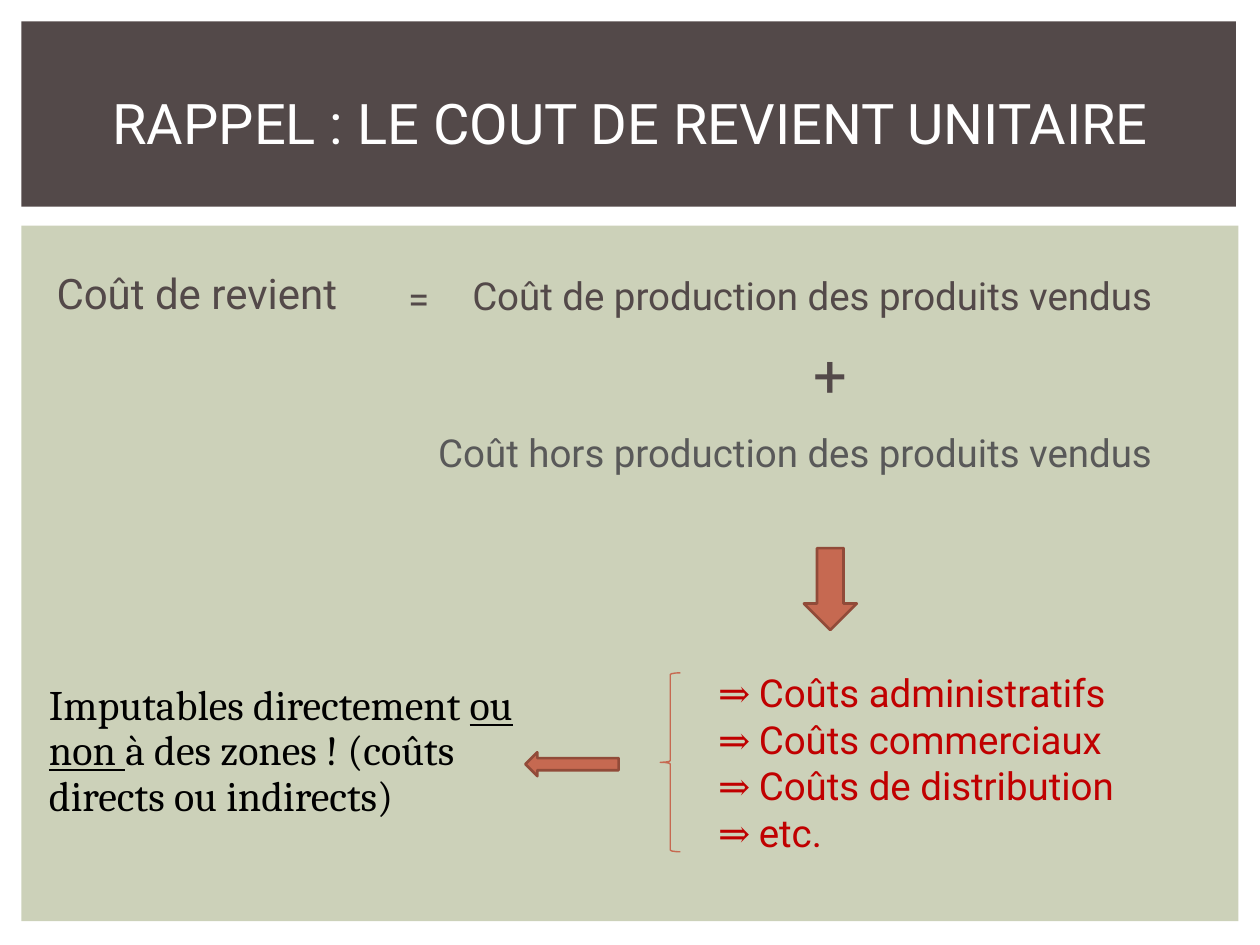
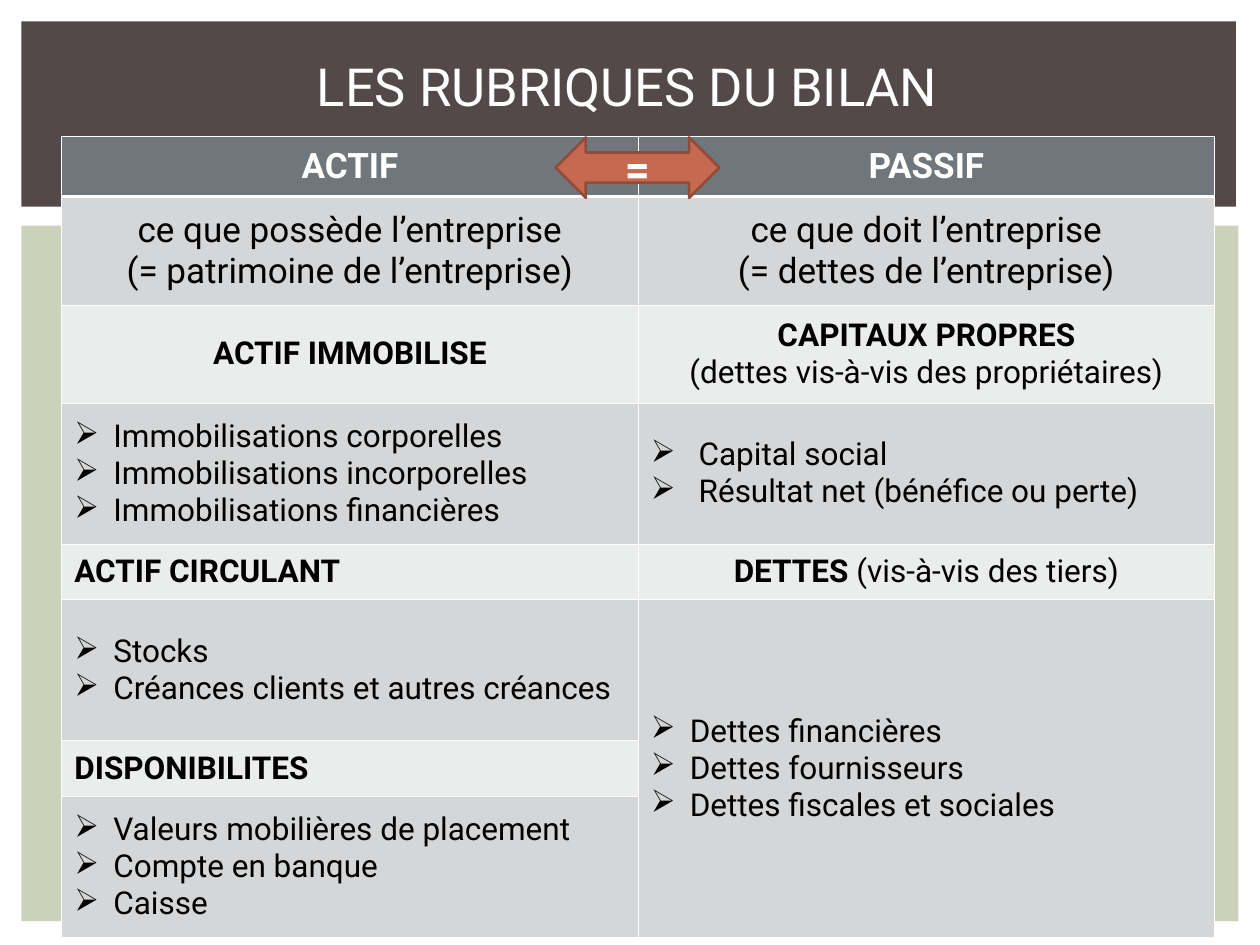
from lxml.etree import SubElement
from pptx import Presentation
from pptx.dml.color import RGBColor
from pptx.enum.shapes import MSO_SHAPE
from pptx.enum.text import MSO_ANCHOR, MSO_AUTO_SIZE, PP_ALIGN
from pptx.oxml.ns import qn
from pptx.util import Inches, Pt

HUES = {
    "brown": "534949", "sage": "CCD1B9", "white": "FFFFFF", "black": "000000",
    "red": "C00000", "gray": "595959", "rust": "C66951", "edge": "914B39",
    "slate": "6F777D", "dark": "D5D6D7", "pale": "EBECEC",
}
HUES = {name: RGBColor.from_string(code) for name, code in HUES.items()}


def write(para, text, hue, size, **form):
    run = para.add_run()
    run.text = text
    run.font.color.rgb = HUES[hue]
    for key, value in ({"name": "Roboto", "size": Pt(size)} | form).items():
        setattr(run.font, key, value)


def draw(slide, kind, box, fill=None, line=None, width=1.5):
    shape = slide.shapes.add_shape(kind, *map(Inches, box))
    shape.shadow.inherit = False
    if fill:
        shape.fill.solid()
        shape.fill.fore_color.rgb = HUES[fill]
    else:
        shape.fill.background()
    if line:
        shape.line.color.rgb = HUES[line]
        shape.line.width = Pt(width)
    else:
        shape.line.fill.background()
    return shape


deck = Presentation()
deck.slide_width, deck.slide_height = Inches(10), Inches(7.5)
cost = deck.slides.add_slide(deck.slide_layouts[1])
sheet = deck.slides.add_slide(deck.slide_layouts[5])

bands = [((0.17, 0.17, 9.64, 1.47), "brown"), ((0.17, 1.79, 9.66, 5.52), "sage")]
for box, hue in bands:
    band = draw(cost, MSO_SHAPE.RECTANGLE, box, hue)
    deck.slide_master.shapes._spTree.insert(2, band._element)

heads = [
    (cost, "RAPPEL : LE COUT DE REVIENT UNITAIRE", 32, (0.42, 0.39, 9.17, 1.15)),
    (sheet, "LES RUBRIQUES DU BILAN", 30, (0.48, 0.28, 9, 0.8)),
]
for slide, text, size, box in heads:
    title = slide.shapes.title
    title.left, title.top, title.width, title.height = map(Inches, box)
    frame = title.text_frame
    frame.auto_size = MSO_AUTO_SIZE.NONE
    frame.vertical_anchor = MSO_ANCHOR.MIDDLE
    frame.paragraphs[0].alignment = PP_ALIGN.CENTER
    write(frame.paragraphs[0], text, "white", size)

body = cost.placeholders[1]
body.left, body.top, body.width, body.height = map(Inches, (5.55, 5.33, 4.32, 1.57))
frame = body.text_frame
frame.auto_size = MSO_AUTO_SIZE.NONE
items = ["Coûts administratifs", "Coûts commerciaux", "Coûts de distribution", "etc."]
for spot, text in enumerate(items):
    para = frame.add_paragraph() if spot else frame.paragraphs[0]
    props = para._p.get_or_add_pPr()
    props.set("marL", str(Inches(0.05)))
    props.set("indent", "0")
    SubElement(props, qn("a:buNone"))
    para.line_spacing = 0.8
    para.space_before = Pt(5.5 if spot else 0)
    write(para, "⇒ ", "red", 22, name="Cambria")
    write(para, text, "red", 22)

serif = {"name": "Cambria"}
notes = [
    ((0.3, 2.07, 9.29, 0.71), 1, "brown", 24, [("Coût de revient", {})]),
    ((3.33, 3.36, 6.7, 0.67), 1, "gray", 22,
     [("Coût hors production des produits vendus", {})]),
    ((0.24, 5.38, 4.32, 1.57), 0.9, "black", 24, [
        ("Imputables directement ", serif),
        ("ou non ", serif | {"underline": True}),
        ("à des zones ! (coûts directs ou indirects)", serif)]),
    ((3.09, 2.13, 0.69, 0.71), 1, "brown", 22, [("=", {})]),
    ((6.31, 2.7, 0.69, 0.71), 0.9, "brown", 34, [("+", {})]),
    ((3.6, 2.11, 6.4, 0.9), 1, "brown", 22,
     [("Coût de production des produits vendus", {})]),
]
for box, pitch, hue, size, runs in notes:
    frame = cost.shapes.add_textbox(*map(Inches, box)).text_frame
    frame.word_wrap = True
    para = frame.paragraphs[0]
    para._p.get_or_add_pPr().set("marL", str(Inches(0.05)))
    para.line_spacing = pitch
    for text, form in runs:
        write(para, text, hue, size, **form)

draw(cost, MSO_SHAPE.LEFT_BRACE, (5.24, 5.34, 0.16, 1.42), line="rust", width=0.79)
draw(cost, MSO_SHAPE.DOWN_ARROW, (6.38, 4.35, 0.42, 0.65), "rust", "edge")
draw(cost, MSO_SHAPE.LEFT_ARROW, (4.17, 5.97, 0.74, 0.19), "rust", "edge")

MID, LEFT, LIST, WIDE = "mid", 0, 0.31, 0.38
rows = [
    (0.48, "slate", 20, (MID, ["ACTIF|"]), (MID, ["PASSIF|"])),
    (0.86, "dark", 20,
     (MID, ["ce que possède l’entreprise", "(= patrimoine de l’entreprise)"]),
     (MID, ["ce que doit l’entreprise", "(= dettes de l’entreprise)"])),
    (0.78, "pale", 18, (MID, ["ACTIF IMMOBILISE|"]),
     (MID, ["CAPITAUX PROPRES|", "(dettes vis-à-vis des propriétaires)"])),
    (1.12, "dark", 18,
     (LIST, ["Immobilisations corporelles", "Immobilisations incorporelles",
             "Immobilisations financières"]),
     (WIDE, ["Capital social", "Résultat net (bénéfice ou perte)"])),
    (0.44, "pale", 18, (LEFT, ["ACTIF CIRCULANT|"]),
     (MID, ["DETTES |(vis-à-vis des tiers)"])),
    (1.12, "dark", 18, (LIST, ["Stocks", "Créances clients et autres créances"]),
     (LIST, ["Dettes financières", "Dettes fournisseurs",
             "Dettes fiscales et sociales"])),
    (0.44, "pale", 18, (LEFT, ["DISPONIBILITES|"])),
    (1.12, "dark", 18,
     (LIST, ["Valeurs mobilières de placement", "Compte en banque", "Caisse"])),
]
table = sheet.shapes.add_table(
    len(rows), 2, *map(Inches, (0.49, 1.08, 9.15, 6.36))).table
for col in table.columns:
    col.width = Inches(4.575)
table.cell(5, 1).merge(table.cell(7, 1))

for r, (high, fill, size, *cells) in enumerate(rows):
    table.rows[r].height = Inches(high)
    for c in range(2):
        cell = table.cell(r, c)
        cell.vertical_anchor = MSO_ANCHOR.MIDDLE
        props = cell._tc.get_or_add_tcPr()
        for side in "LRTB":
            thick = (r, side) in [(0, "B"), (1, "T")]
            line = SubElement(props, qn("a:ln" + side), w=str(Pt(1.47 if thick else 0.45)))
            paint = SubElement(line, qn("a:solidFill"))
            SubElement(paint, qn("a:srgbClr"), val=str(HUES["white"]))
        cell.fill.solid()
        cell.fill.fore_color.rgb = HUES[fill]
    for c, (lay, lines) in enumerate(cells):
        frame = table.cell(r, c).text_frame
        for spot, text in enumerate(lines):
            para = frame.add_paragraph() if spot else frame.paragraphs[0]
            if lay == MID:
                para.alignment = PP_ALIGN.CENTER
            elif lay:
                props = para._p.get_or_add_pPr()
                props.set("marL", str(Inches(lay)))
                props.set("indent", str(-Inches(lay)))
                paint = SubElement(props, qn("a:buClr"))
                SubElement(paint, qn("a:srgbClr"), val=str(HUES["black"]))
                SubElement(props, qn("a:buChar"), char="➢")
            strong, bar, plain = text.rpartition("|")
            for part, bold in [(strong, True), (plain, False)]:
                if part:
                    write(para, part, "black" if r else "white", size, bold=bold)

arrow = draw(sheet, MSO_SHAPE.LEFT_RIGHT_ARROW, (4.41, 1.09, 1.3, 0.48), "rust", "edge")
frame = arrow.text_frame
frame.vertical_anchor = MSO_ANCHOR.MIDDLE
frame.paragraphs[0].alignment = PP_ALIGN.CENTER
write(frame.paragraphs[0], "=", "white", 25, bold=True)

deck.save("out.pptx")
